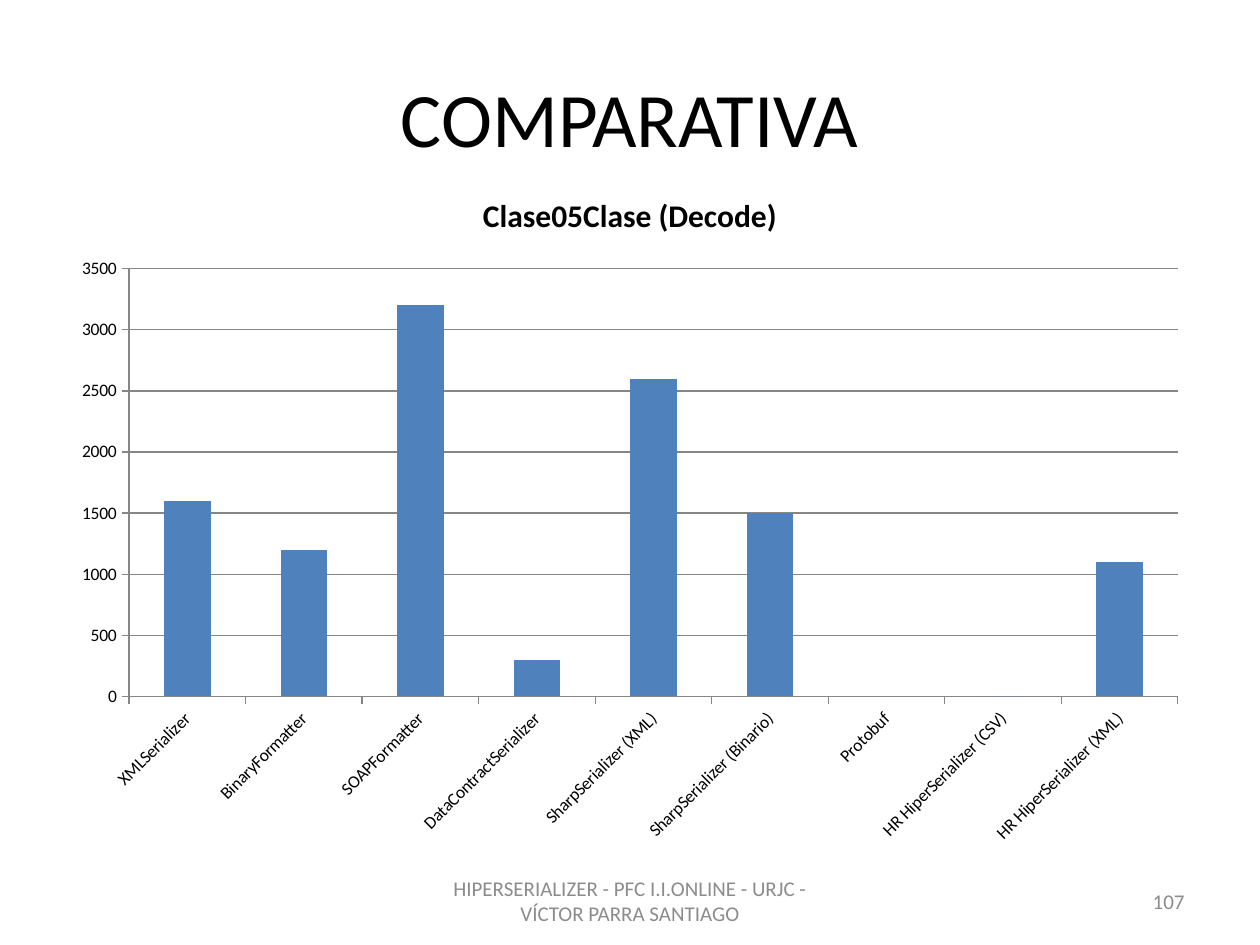
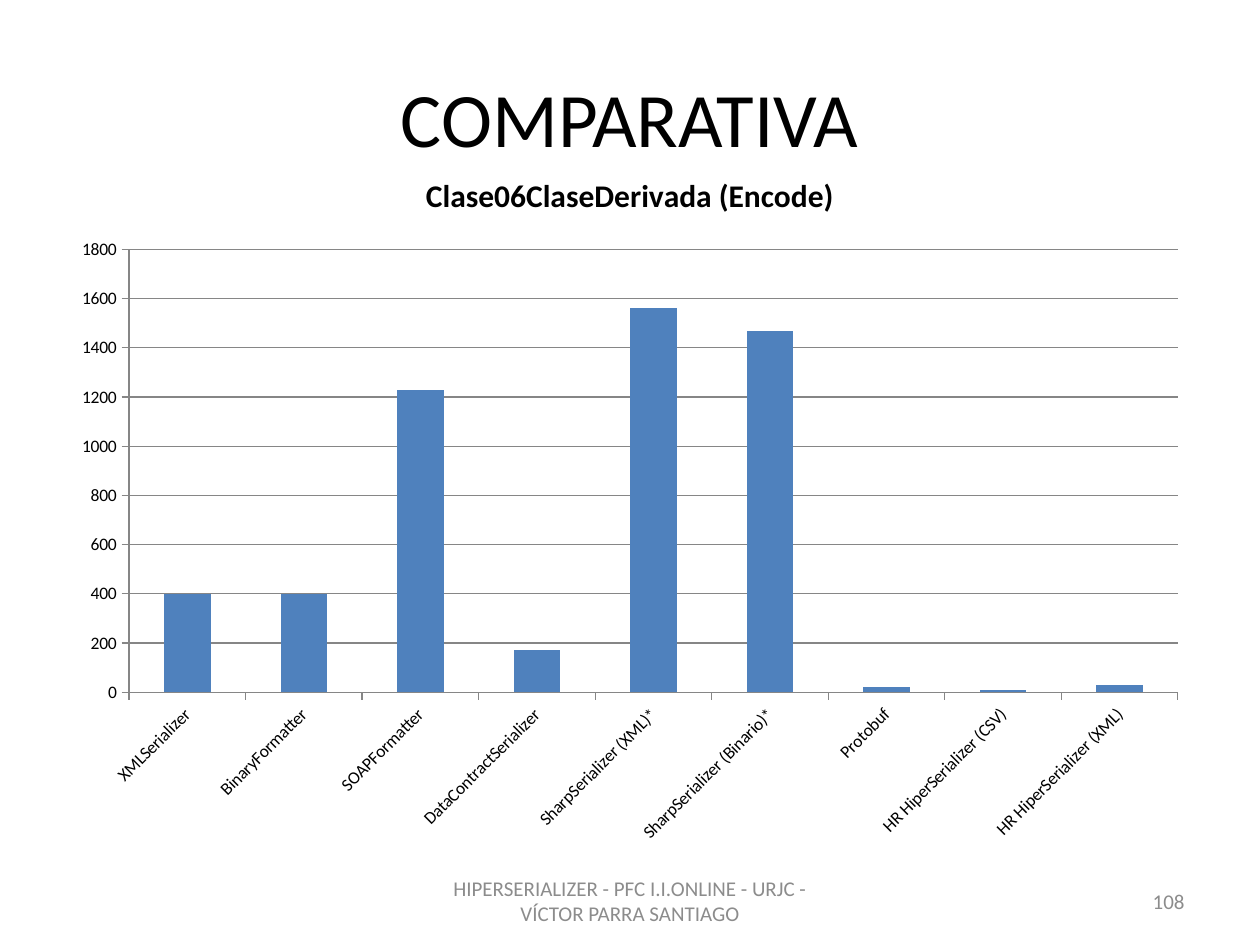
from dataclasses import dataclass

from pptx import Presentation
from pptx import util as u
from pptx.chart.data import CategoryChartData
from pptx.dml.color import RGBColor
from pptx.enum import chart as ch
from pptx.enum import text


@dataclass(frozen=True)
class Theme:
    """Colours, font and type sizes shared by the slides."""
    font: str = "Calibri"
    ink: str = "000000"
    muted: str = "8C8C8C"
    bar: str = "4F81BD"
    rule: str = "868686"
    title: int = 44
    chart_title: int = 18
    footer: int = 12
    axis: int = 10


FOOTER = "HIPERSERIALIZER - PFC I.I.ONLINE - URJC - VÍCTOR PARRA SANTIAGO"
CHART_BOTTOM = 6.8 / 7.5
FOOTER_TOP, FOOTER_HEIGHT = 6.95 / 7.5, 0.4 / 7.5
FOOTER_WIDTH, NUMBER_WIDTH = 3.17 / 10, 2.33 / 10
MARGIN = 0.05


class Deck:
    """Holds the theme and the current slide; positions are shares of the slide."""

    def __init__(self, theme):
        """Start an empty 4:3 presentation."""
        self.t = theme
        self.prs = Presentation()
        self.prs.slide_width, self.prs.slide_height = u.Inches(10), u.Inches(7.5)

    def box(self, x, y, w, h):
        """Turn shares of the slide into lengths."""
        sw, sh = self.prs.slide_width, self.prs.slide_height
        return [u.Emu(round(n)) for n in (x * sw, y * sh, w * sw, h * sh)]

    def style(self, font, size, color, bold=False):
        """Apply the theme font with a size and colour."""
        font.name, font.size, font.bold = self.t.font, u.Pt(size), bold
        font.color.rgb = RGBColor.from_string(color)

    def label(self, content, area, size, color, align):
        """Add one vertically centred paragraph."""
        tf = self.s.shapes.add_textbox(*self.box(*area)).text_frame
        tf.word_wrap = True
        tf.vertical_anchor = text.MSO_ANCHOR.MIDDLE
        p = tf.paragraphs[0]
        p.alignment = align
        r = p.add_run()
        r.text = content
        self.style(r.font, size, color)

    def slide(self, title, number):
        """Add a slide with its title, footer and number."""
        self.s = self.prs.slides.add_slide(self.prs.slide_layouts[6])
        t, al = self.t, text.PP_ALIGN
        self.label(title, (MARGIN, 0.04, 1 - 2 * MARGIN, 1 / 6),
                   t.title, t.ink, al.CENTER)
        self.label(FOOTER, ((1 - FOOTER_WIDTH) / 2, FOOTER_TOP, FOOTER_WIDTH, FOOTER_HEIGHT),
                   t.footer, t.muted, al.CENTER)
        self.label(str(number),
                   (1 - MARGIN - NUMBER_WIDTH, FOOTER_TOP, NUMBER_WIDTH, FOOTER_HEIGHT),
                   t.footer, t.muted, al.RIGHT)

    def columns(self, name, cats, values, top):
        """Add a titled column chart reaching from top to above the footer."""
        t = self.t
        data = CategoryChartData()
        data.categories = cats
        data.add_series(name, values)
        area = self.box(0.047, top, 0.906, CHART_BOTTOM - top)
        chart = self.s.shapes.add_chart(
            ch.XL_CHART_TYPE.COLUMN_CLUSTERED, *area, data).chart
        self.style(chart.font, t.axis, t.ink)
        chart.has_legend = False
        chart.has_title = True
        r = chart.chart_title.text_frame.paragraphs[0].add_run()
        r.text = name
        self.style(r.font, t.chart_title, t.ink, bold=True)
        plot = chart.plots[0]
        plot.vary_by_categories = False
        plot.gap_width = 150
        fill = plot.series[0].format.fill
        fill.solid()
        fill.fore_color.rgb = RGBColor.from_string(t.bar)
        cat, val = chart.category_axis, chart.value_axis
        val.has_major_gridlines = True
        val.minimum_scale = 0
        for line in (cat.format.line, val.format.line, val.major_gridlines.format.line):
            line.color.rgb = RGBColor.from_string(t.rule)
            line.width = u.Pt(0.75)
        for axis in (cat, val):
            axis.major_tick_mark = ch.XL_TICK_MARK.OUTSIDE
            axis.minor_tick_mark = ch.XL_TICK_MARK.NONE
            self.style(axis.tick_labels.font, t.axis, t.ink)


def categories(mark=""):
    """List the serializers, with an optional mark on the SharpSerializer ones."""
    return ["XMLSerializer", "BinaryFormatter", "SOAPFormatter",
            "DataContractSerializer", f"SharpSerializer (XML){mark}",
            f"SharpSerializer (Binario){mark}", "Protobuf",
            "HR HiperSerializer (CSV)", "HR HiperSerializer (XML)"]


COMPARISONS = [
    ("Clase05Clase (Decode)", "", 1.33 / 7.5,
     [1600, 1200, 3200, 300, 2600, 1500, None, 0, 1100]),
    ("Clase06ClaseDerivada (Encode)", "*", 1.17 / 7.5,
     [400, 400, 1230, 170, 1560, 1470, 20, 10, 30]),
]

deck = Deck(Theme())
for number, (name, mark, top, values) in enumerate(COMPARISONS, start=107):
    deck.slide("COMPARATIVA", number)
    deck.columns(name, categories(mark), values, top)
deck.prs.save("out.pptx")
